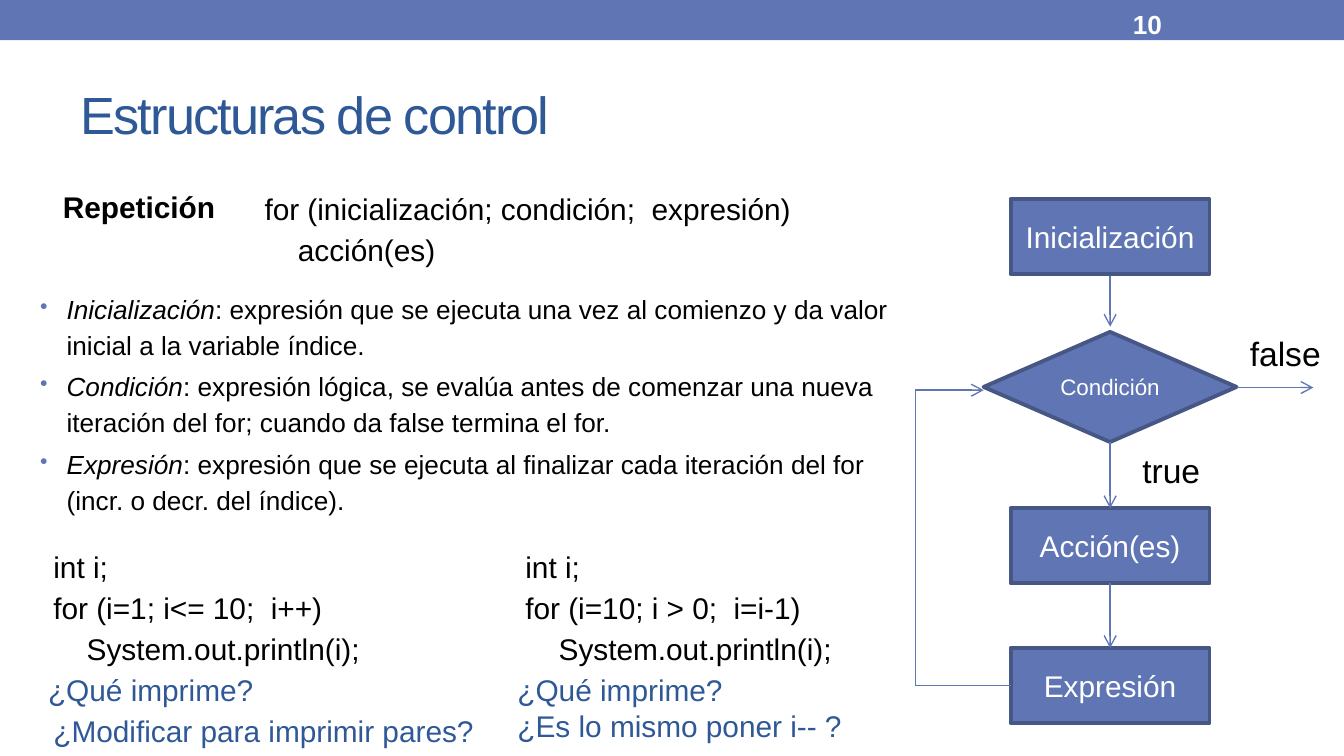
import pptx
import pptx.util
import pptx.dml.color
import pptx.enum.shapes
import pptx.enum.text
import pptx.oxml
import pptx.oxml.ns
from pptx.util import Cm, Pt

COLORS = {
    "blue": "6076B4",
    "edge": "475785",
    "heading": "2F5897",
    "black": "000000",
    "white": "FFFFFF",
}
SHAPES = pptx.enum.shapes.MSO_SHAPE
ALIGN = pptx.enum.text.PP_ALIGN
ANCHOR = pptx.enum.text.MSO_ANCHOR


def rgb(name):
    return pptx.dml.color.RGBColor.from_string(COLORS[name])


def add_xml(parent, tag, **attributes):
    element = pptx.oxml.ns.qn(tag)
    child = parent.makeelement(element, attributes)
    parent.append(child)
    return child


def add_bullet(paragraph):
    """Give the paragraph a hanging blue bullet."""
    properties = paragraph._p.get_or_add_pPr()
    properties.set("marL", str(Cm(0.5)))
    properties.set("indent", str(-Cm(0.5)))
    color = add_xml(properties, "a:buClr")
    add_xml(color, "a:srgbClr", val=COLORS["blue"])
    add_xml(properties, "a:buSzPct", val="85000")
    add_xml(properties, "a:buChar", char="•")


def write(frame, text, size=16, color="black", bold=False, align=ALIGN.LEFT,
          spacing=1.0, before=0, bullet=False, tracking=0, indent_last=False):
    """Fill a frame; text is a string or a list of paragraphs.

    A (term, explanation) pair makes a paragraph with an italic term.
    """
    paragraphs = [text] if isinstance(text, str) else text
    for index, content in enumerate(paragraphs):
        paragraph = frame.add_paragraph() if index else frame.paragraphs[0]
        paragraph.alignment = align
        paragraph.line_spacing = spacing
        paragraph.space_before = Pt(before)
        if bullet:
            add_bullet(paragraph)
        if indent_last and index == len(paragraphs) - 1:
            paragraph._p.get_or_add_pPr().set("marL", str(Cm(0.63)))
        parts = [content] if isinstance(content, str) else content
        for position, part in enumerate(parts):
            run = paragraph.add_run()
            run.text = part
            run.font.name = "Arial"
            run.font.size = Pt(size)
            run.font.bold = bold
            run.font.italic = len(parts) > 1 and position == 0
            run.font.color.rgb = rgb(color)
            if tracking:
                run._r.get_or_add_rPr().set("spc", str(tracking * 100))


class SlideBuilder:
    """Holds the style and the current slide; positions are in centimetres."""

    line_width = Pt(0.75)
    edge_width = Pt(2.08)

    def __init__(self, slide):
        self.slide = slide
        self.shapes = slide.shapes

    def title(self, text, left, top, width, height):
        title = self.shapes.title
        title.left, title.top = Cm(left), Cm(top)
        title.width, title.height = Cm(width), Cm(height)
        title.text_frame.vertical_anchor = ANCHOR.MIDDLE
        write(title.text_frame, text, size=28, color="heading", tracking=-1)

    def text(self, text, left, top, width, height, wrap=True, **style):
        box = self.shapes.add_textbox(Cm(left), Cm(top), Cm(width), Cm(height))
        box.text_frame.word_wrap = wrap
        write(box.text_frame, text, **style)

    def block(self, kind, left, top, width, height, text="", size=16, edge=True):
        block = self.shapes.add_shape(
            kind, Cm(left), Cm(top), Cm(width), Cm(height))
        block.shadow.inherit = False
        block.fill.solid()
        block.fill.fore_color.rgb = rgb("blue")
        if edge:
            block.line.color.rgb = rgb("edge")
            block.line.width = self.edge_width
        else:
            block.line.fill.background()
        if text:
            block.text_frame.vertical_anchor = ANCHOR.MIDDLE
            write(block.text_frame, text, size=size, color="white",
                  align=ALIGN.CENTER)

    def line(self, x1, y1, x2, y2, arrow=True):
        line = self.shapes.add_connector(
            pptx.enum.shapes.MSO_CONNECTOR.STRAIGHT,
            Cm(x1), Cm(y1), Cm(x2), Cm(y2))
        line.line.color.rgb = rgb("blue")
        line.line.width = self.line_width
        if arrow:
            add_xml(line.line._get_or_add_ln(), "a:tailEnd", type="arrow")
        add_xml(line._element.spPr, "a:effectLst")


def add_explanation(builder):
    builder.text("Repetición", 0.94, 3.43, 3.43, 0.94, wrap=False, bold=True)
    builder.text(["for (inicialización; condición;  expresión)", "acción(es)"],
                 4.75, 3.38, 14.2, 1.83, spacing=1.15, indent_last=True)
    builder.text([
        ("Inicialización", ": expresión que se ejecuta una vez al comienzo "
         "y da valor inicial a la variable índice."),
        ("Condición", ": expresión lógica, se evalúa antes de comenzar una "
         "nueva iteración del for; cuando da false termina el for."),
        ("Expresión", ": expresión que se ejecuta al finalizar cada "
         "iteración del for (incr. o decr. del índice)."),
    ], 0.51, 5.33, 17.2, 4.62, size=14, spacing=1.15, before=2.8, bullet=True)


def add_flowchart(builder):
    center, box_width, box_height = 20.98, 3.76, 1.42
    box_left = center - box_width / 2
    diamond_left, diamond_right = 18.59, 23.37
    start_top, action_top, step_top = 3.76, 9.6, 12.24
    loop_x, loop_y = 17.3, 7.37
    step_middle = step_top + box_height / 2

    for label, top in (("Inicialización", start_top),
                       ("Acción(es)", action_top),
                       ("Expresión", step_top)):
        builder.block(SHAPES.RECTANGLE, box_left, top, box_width, box_height, label)
    builder.block(SHAPES.DIAMOND, diamond_left, 6.27,
                  diamond_right - diamond_left, 2.08, "Condición", size=12)

    for start, end in ((5.21, 6.17), (8.34, action_top),
                       (action_top + box_height, step_top)):
        builder.line(center, start, center, end)
    builder.line(loop_x, loop_y, diamond_left, loop_y)
    builder.line(loop_x, loop_y, loop_x, step_middle, arrow=False)
    builder.line(loop_x, step_middle, box_left, step_middle, arrow=False)
    builder.line(diamond_right, 7.32, 24.82, 7.32)

    builder.text("false", 23.37, 6.17, 2.03, 1.02, size=18)
    builder.text("true", 21.34, 8.38, 2.03, 1.02, size=18)


def add_examples(builder):
    for left, width, header in ((0.76, 7.44, "for (i=1; i<= 10;  i++)"),
                                (9.68, 8.43, "for (i=10; i > 0;  i=i-1)")):
        builder.text(["int i;", header, "System.out.println(i);"],
                     left, 10.13, width, 2.62, spacing=1.15, indent_last=True)
    builder.text("¿Modificar para imprimir pares?", 0.76, 13.34, 8.94, 0.94,
                 color="heading")
    builder.text("¿Qué imprime?", 0.66, 12.57, 8.94, 0.94, color="heading")
    builder.text(["¿Qué imprime?", "¿Es lo mismo poner i-- ?"],
                 9.53, 12.57, 10.16, 1.63, color="heading")


def main():
    presentation = pptx.Presentation()
    presentation.slide_width = Cm(25.4)
    presentation.slide_height = Cm(14.28)
    slide = presentation.slides.add_slide(presentation.slide_layouts[5])
    builder = SlideBuilder(slide)

    builder.block(SHAPES.RECTANGLE, 0, 0, 25.4, 0.76, edge=False)
    builder.title("Estructuras de control", 1.27, 1.12, 22.86, 2.06)
    builder.text("10", 21.16, 0.03, 2.97, 0.69, size=14, color="white", bold=True)
    add_explanation(builder)
    add_flowchart(builder)
    add_examples(builder)
    presentation.save("out.pptx")


if __name__ == "__main__":
    main()
